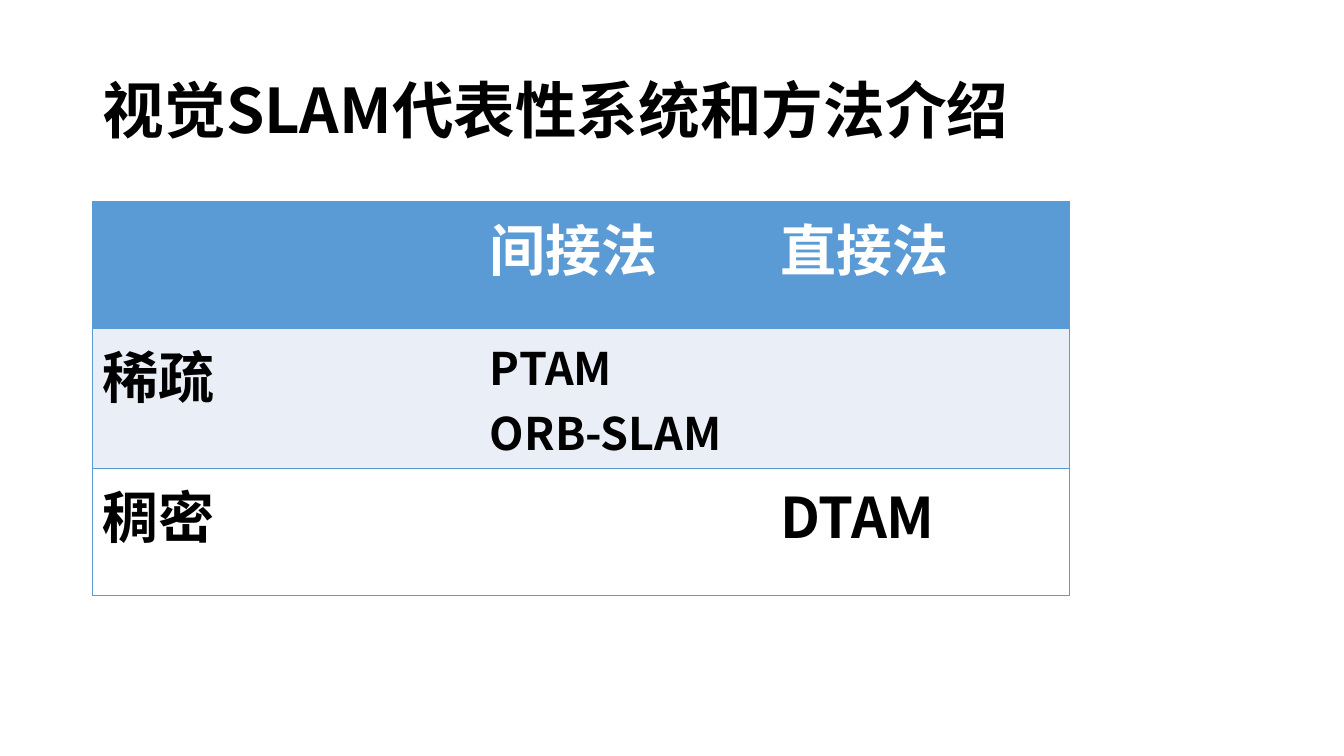
import dataclasses

import pptx
import pptx.dml.color
import pptx.enum.text
import pptx.oxml
import pptx.oxml.ns
import pptx.util

EMU_PER_PX = 9144
FONT = "Noto Sans CJK SC"
BLUE, PALE, WHITE, BLACK = "5B9BD5", "EAEFF7", "FFFFFF", "000000"
NO_STYLE = "{2D5ABB26-0587-4C30-8999-92F81FD0307C}"


@dataclasses.dataclass(frozen=True)
class Entry:
    text: str = ""
    size: int = 40


@dataclasses.dataclass(frozen=True)
class Row:
    height: int
    fill: str
    color: str
    entries: tuple[Entry, ...]


COLUMN_WIDTHS = (384, 288, 297)
ROWS = (
    Row(126, BLUE, WHITE, (Entry(), Entry("间接法"), Entry("直接法"))),
    Row(132, PALE, BLACK, (Entry("稀疏"), Entry("PTAM\nORB-SLAM", 32), Entry())),
    Row(126, WHITE, BLACK, (Entry("稠密"), Entry(), Entry("DTAM"))),
)


def px(length: int) -> pptx.util.Emu:
    return pptx.util.Emu(length * EMU_PER_PX)


def rgb(color: str) -> pptx.dml.color.RGBColor:
    return pptx.dml.color.RGBColor.from_string(color)


def write(frame, text: str, *, size: int, color: str = BLACK,
          spacing: float = 1.0) -> None:
    frame.text = text
    for para in frame.paragraphs:
        para.alignment = pptx.enum.text.PP_ALIGN.LEFT
        para.line_spacing = spacing
        for span in para.runs:
            span.font.size = pptx.util.Pt(size)
            span.font.bold = True
            span.font.color.rgb = rgb(color)
            span.font.name = FONT
            east_asian = pptx.oxml.parse_xml(
                f'<a:ea {pptx.oxml.ns.nsdecls("a")} typeface="{FONT}"/>')
            span.font._element.append(east_asian)


def add_borders(cell, sides: str) -> None:
    properties = cell._tc.get_or_add_tcPr()
    for position, side in enumerate(sides):
        properties.insert(position, pptx.oxml.parse_xml(
            f'<a:ln{side} {pptx.oxml.ns.nsdecls("a")} w="12700"><a:solidFill>'
            f'<a:srgbClr val="{BLUE}"/></a:solidFill></a:ln{side}>'))


def add_title(page, text: str) -> None:
    title = page.shapes.title
    title.left, title.top, title.width, title.height = map(px, (92, 40, 1150, 145))
    frame = title.text_frame
    frame.word_wrap = True
    frame.auto_size = pptx.enum.text.MSO_AUTO_SIZE.NONE
    frame.vertical_anchor = pptx.enum.text.MSO_ANCHOR.MIDDLE
    write(frame, text, size=44, spacing=0.9)


def add_method_table(page) -> None:
    width, height = sum(COLUMN_WIDTHS), sum(row.height for row in ROWS)
    table = page.shapes.add_table(
        len(ROWS), len(COLUMN_WIDTHS), px(92), px(200), px(width), px(height)).table
    table.horz_banding = False
    table._tbl.tblPr.find(pptx.oxml.ns.qn("a:tableStyleId")).text = NO_STYLE
    for column, column_width in zip(table.columns, COLUMN_WIDTHS):
        column.width = px(column_width)
    last = len(COLUMN_WIDTHS) - 1
    for row_index, row in enumerate(ROWS):
        table.rows[row_index].height = px(row.height)
        for column_index, entry in enumerate(row.entries):
            cell = table.cell(row_index, column_index)
            cell.fill.solid()
            cell.fill.fore_color.rgb = rgb(row.fill)
            sides = {0: "LTB", last: "RTB"}.get(column_index, "TB")
            add_borders(cell, sides)
            if entry.text:
                write(cell.text_frame, entry.text, size=entry.size, color=row.color)


def main() -> None:
    deck = pptx.Presentation()
    deck.slide_width, deck.slide_height = px(1333), px(750)
    page = deck.slides.add_slide(deck.slide_layouts[5])
    page.background.fill.solid()
    page.background.fill.fore_color.rgb = rgb(WHITE)
    add_title(page, "视觉SLAM代表性系统和方法介绍")
    add_method_table(page)
    deck.save("out.pptx")


if __name__ == "__main__":
    main()
